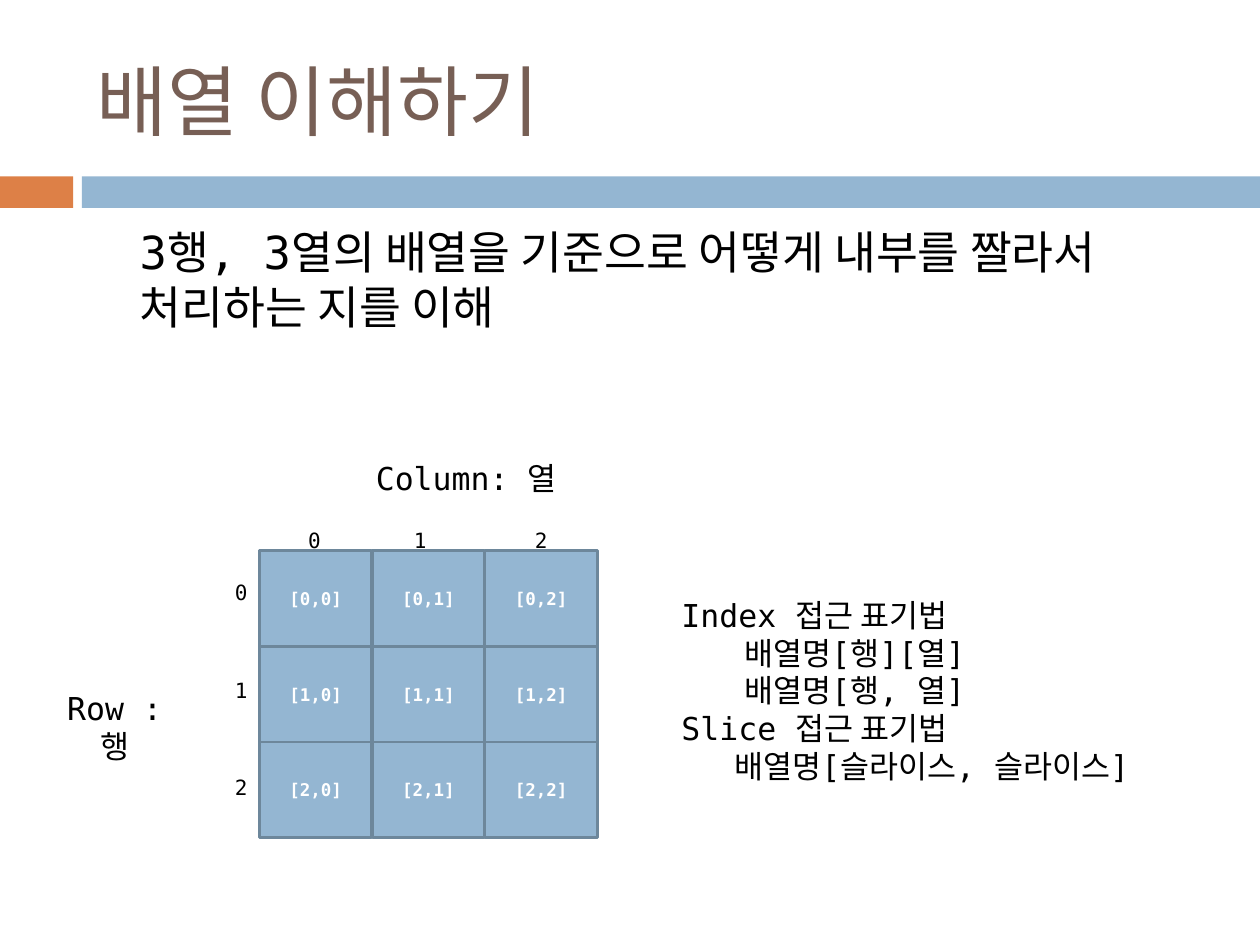
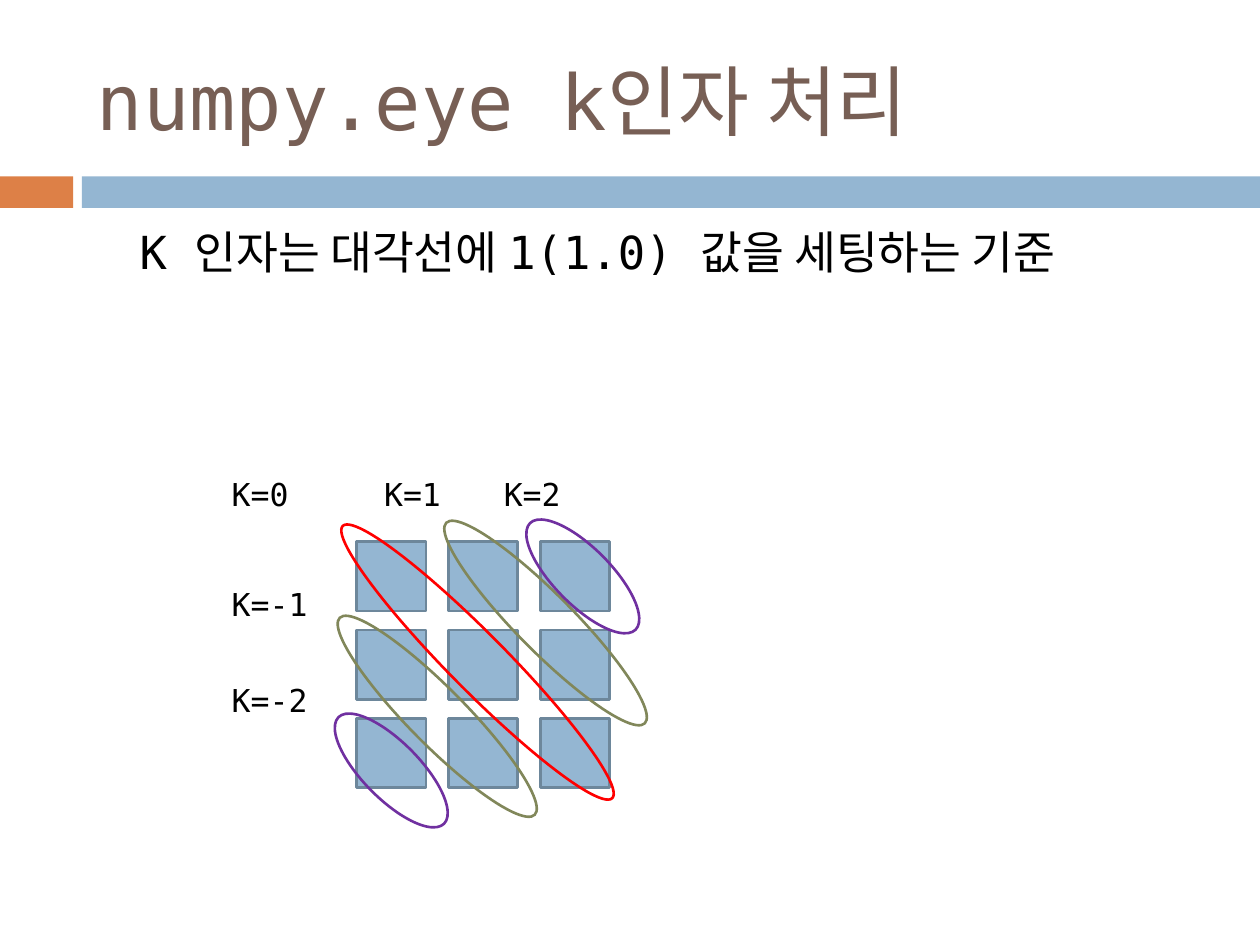
from pptx import Presentation
from pptx.dml.color import RGBColor
from pptx.enum.shapes import MSO_SHAPE as Shape
from pptx.enum.text import MSO_ANCHOR as Anchor, PP_ALIGN as Align
from pptx.util import Inches, Pt

FONT = "DejaVu Sans Mono"
BLUE, BLUE_EDGE, ORANGE, BROWN = "94B6D2", "6D879B", "DD8047", "775F55"
RED, OLIVE, PURPLE = "FF0000", "81875A", "7030A0"
BLACK, WHITE = "000000", "FFFFFF"


def add_figure(slide, kind, left, top, width, height, fill=None, edge=None):
    shape = slide.shapes.add_shape(kind, Inches(left), Inches(top), Inches(width), Inches(height))
    shape.shadow.inherit = False
    if fill:
        shape.fill.solid()
        shape.fill.fore_color.rgb = RGBColor.from_string(fill)
    else:
        shape.fill.background()
    if edge:
        shape.line.color.rgb = RGBColor.from_string(edge)
        shape.line.width = Pt(1.5)
    else:
        shape.line.fill.background()
    return shape


def add_text(slide, text, left, top, width, height, size, color=BLACK, align=Align.LEFT):
    box = slide.shapes.add_textbox(Inches(left), Inches(top), Inches(width), Inches(height))
    box.text_frame.word_wrap = True
    box.text_frame.text = text
    for paragraph in box.text_frame.paragraphs:
        paragraph.alignment = align
        for run in paragraph.runs:
            run.font.name = FONT
            run.font.size = Pt(size)
            run.font.color.rgb = RGBColor.from_string(color)
    return box


presentation = Presentation()
presentation.slide_width = Inches(10)
presentation.slide_height = Inches(7.5)

slides = []
for title, summary in [
    ("배열 이해하기", "3행, 3열의 배열을 기준으로 어떻게 내부를 짤라서 처리하는 지를 이해"),
    ("numpy.eye k인자 처리", "K 인자는 대각선에 1(1.0) 값을 세팅하는 기준"),
]:
    slide = presentation.slides.add_slide(presentation.slide_layouts[6])
    add_figure(slide, Shape.RECTANGLE, 0, 1.4, 0.58, 0.25, ORANGE)
    add_figure(slide, Shape.RECTANGLE, 0.65, 1.4, 9.35, 0.25, BLUE)
    title_box = add_text(slide, title, 0.67, 0.25, 8.92, 1.08, 44, BROWN)
    title_box.text_frame.vertical_anchor = Anchor.MIDDLE
    add_text(slide, summary, 1.01, 1.73, 8.5, 1.47, 26)
    slides.append(slide)

array_slide, eye_slide = slides

for row in range(3):
    for column in range(3):
        cell = add_figure(array_slide, Shape.RECTANGLE, 2.06 + column * 0.895, 4.37 + row * 0.76,
                          0.89, 0.76, BLUE, BLUE_EDGE)
        cell.text_frame.text = f"[{row},{column}]"
        cell.text_frame.vertical_anchor = Anchor.MIDDLE
        paragraph = cell.text_frame.paragraphs[0]
        paragraph.alignment = Align.CENTER
        font = paragraph.runs[0].font
        font.name, font.size, font.bold = FONT, Pt(10), True
        font.color.rgb = RGBColor.from_string(WHITE)

add_text(array_slide, "Row : 행", 0.28, 5.42, 1.26, 0.4, 18, align=Align.CENTER)
add_text(array_slide, "Column: 열", 2.82, 3.59, 1.76, 0.4, 18, align=Align.CENTER)
for index, column_left in enumerate([2.27, 3.11, 4.07]):
    add_text(array_slide, str(index), 1.69, 4.55 + index * 0.775, 0.45, 0.3, 12, align=Align.CENTER)
    add_text(array_slide, str(index), column_left, 4.14, 0.45, 0.3, 12, align=Align.CENTER)

notation_lines = [
    ("Index 접근 표기법", 0, 0),
    ("배열명[행][열]", 0.5, 0),
    ("배열명[행, 열]", 0.5, 0),
    ("Slice 접근 표기법", 0, 0),
    ("배열명[슬라이스, 슬라이스]", 0, 0.42),
]
notation = add_text(array_slide, "\n".join(line for line, _, _ in notation_lines),
                    5.31, 4.68, 4.02, 1.62, 18)
for paragraph, (_, margin, indent) in zip(notation.text_frame.paragraphs, notation_lines):
    properties = paragraph._p.get_or_add_pPr()
    properties.set("marL", str(Inches(margin)))
    properties.set("indent", str(Inches(indent)))

for row in range(3):
    for column in range(3):
        add_figure(eye_slide, Shape.RECTANGLE, 2.83 + column * 0.73, 4.3 + row * 0.7,
                   0.55, 0.55, BLUE, BLUE_EDGE)

for label, left, top in [
    ("K=0", 1.74, 3.72),
    ("K=1", 2.95, 3.72),
    ("K=2", 3.9, 3.72),
    ("K=-1", 1.74, 4.59),
    ("K=-2", 1.74, 5.36),
]:
    add_text(eye_slide, label, left, top, 0.94, 0.4, 18)

for left, top, width, color in [
    (2.27, 5.03, 3.04, RED),
    (3.21, 4.72, 2.24, OLIVE),
    (2.37, 5.46, 2.2, OLIVE),
    (2.51, 5.89, 1.19, PURPLE),
    (4.03, 4.35, 1.19, PURPLE),
]:
    diagonal = add_figure(eye_slide, Shape.OVAL, left, top, width, 0.45, edge=color)
    diagonal.rotation = 45.3

presentation.save("out.pptx")
